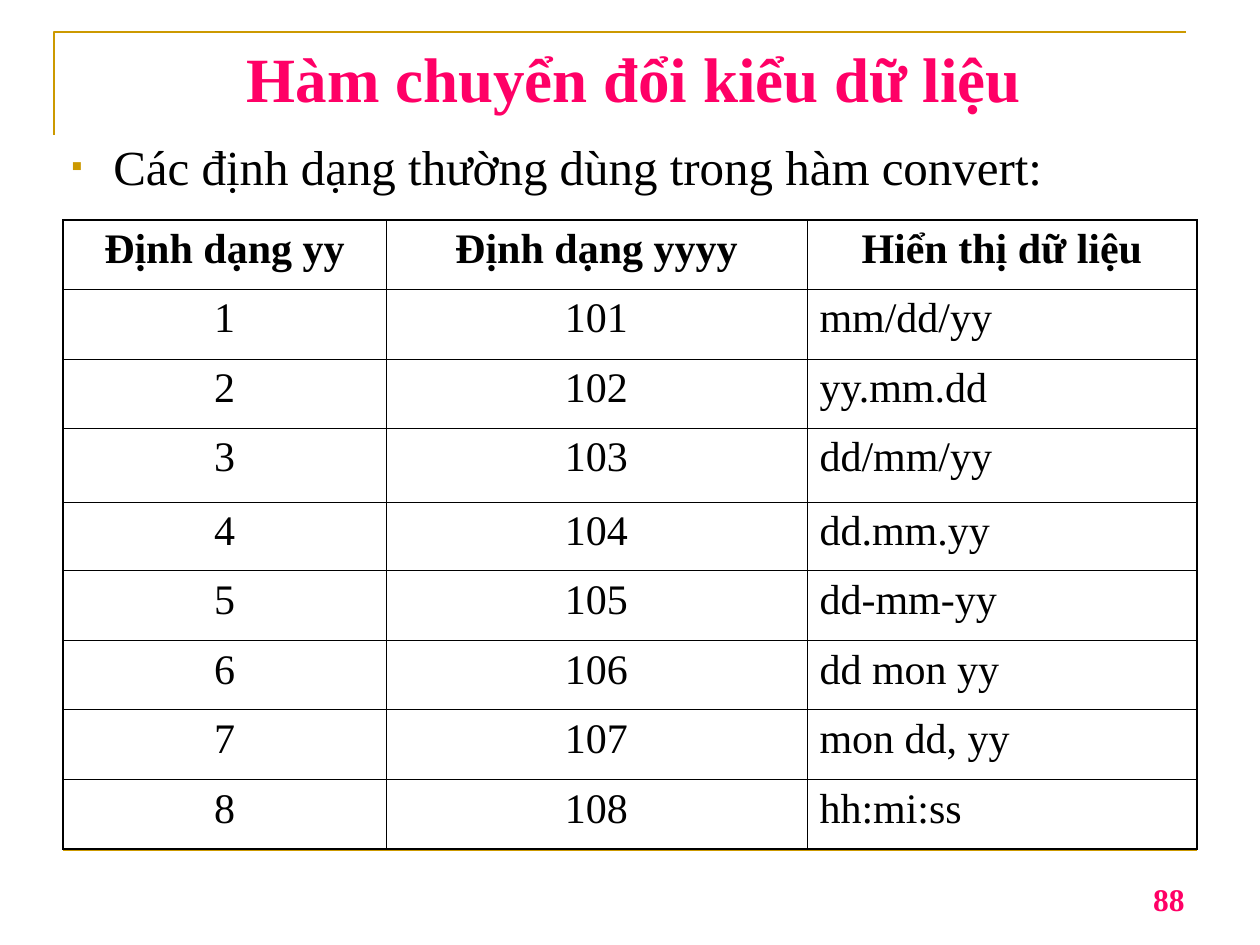
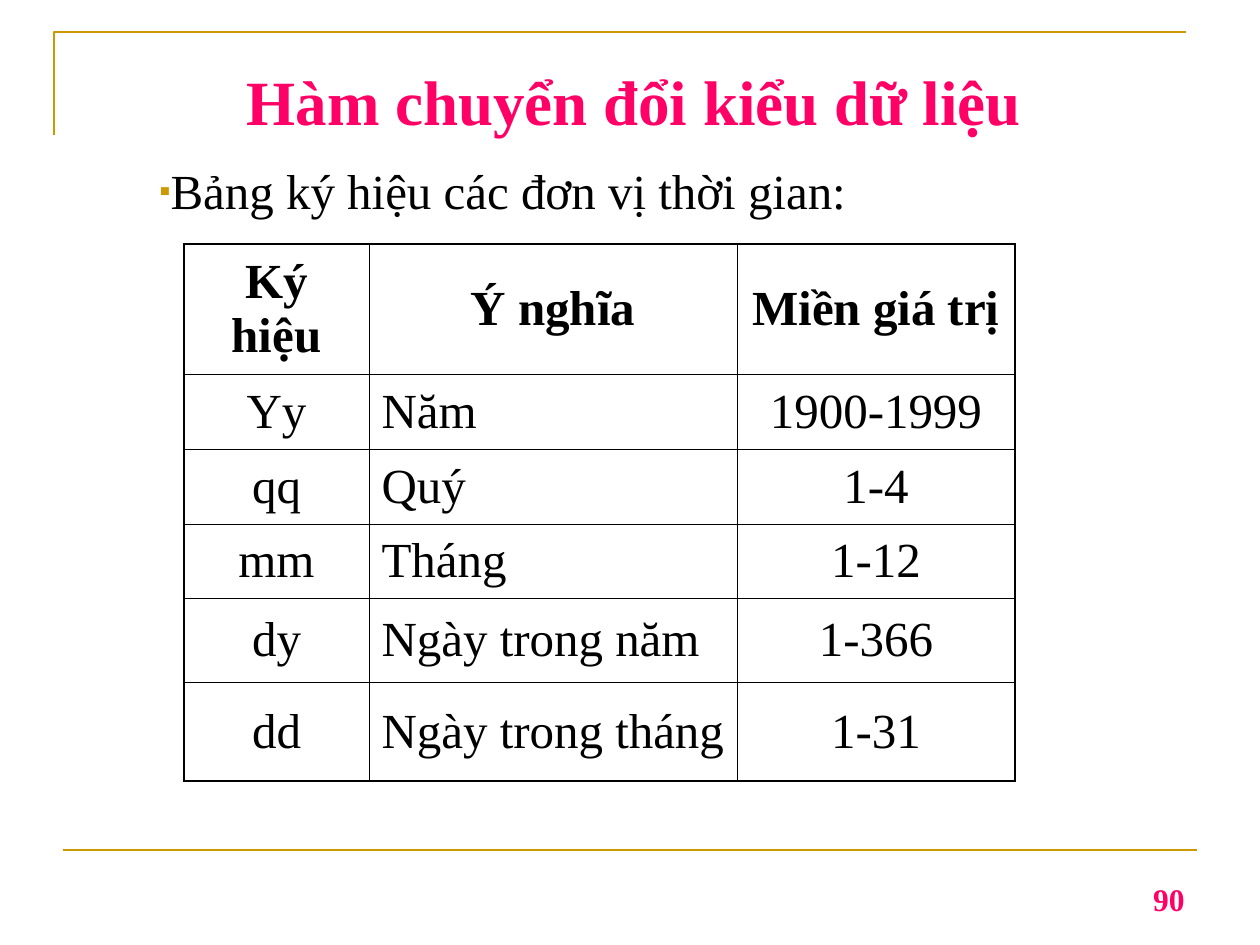
from dataclasses import dataclass
from typing import NamedTuple

import pptx
import pptx.dml.color
import pptx.enum.shapes
import pptx.enum.text
import pptx.oxml
import pptx.oxml.ns
import pptx.presentation
import pptx.slide
import pptx.table
import pptx.text.text
import pptx.util

PX_PER_INCH = 126
GOLD = pptx.dml.color.RGBColor(0xCC, 0x99, 0x00)
PINK = pptx.dml.color.RGBColor(0xFF, 0x00, 0x66)
BLACK = pptx.dml.color.RGBColor(0x00, 0x00, 0x00)
FONT = "Times New Roman"
HEADING = "Hàm chuyển đổi kiểu dữ liệu"
OUTER_WIDTH, INNER_WIDTH = 1.08, 0.45

ALIGN = pptx.enum.text.PP_ALIGN
ANCHOR = pptx.enum.text.MSO_ANCHOR


class Box(NamedTuple):
    left: int
    top: int
    width: int
    height: int


@dataclass(frozen=True)
class TextStyle:
    size: int
    color: pptx.dml.color.RGBColor = BLACK
    bold: bool = False
    align: ALIGN = ALIGN.LEFT


@dataclass(frozen=True)
class Grid:
    left: int
    top: int
    columns: tuple[int, ...]
    heights: tuple[int, ...]
    rows: tuple[tuple[str, ...], ...]
    size: int
    anchor: ANCHOR
    left_aligned_column: int


@dataclass(frozen=True)
class Lesson:
    number: int
    title_top: int
    intro: str
    intro_box: Box
    intro_margin: int
    intro_hang: int
    grid: Grid


HEADING_STYLE = TextStyle(36, PINK, True, ALIGN.CENTER)
INTRO_STYLE = TextStyle(28)
NUMBER_STYLE = TextStyle(18, PINK, True, ALIGN.RIGHT)

DATE_PATTERNS = (
    "mm/dd/yy", "yy.mm.dd", "dd/mm/yy", "dd.mm.yy",
    "dd-mm-yy", "dd mon yy", "mon dd, yy", "hh:mi:ss",
)

LESSONS = (
    Lesson(
        number=88,
        title_top=26,
        intro="Các định dạng thường dùng trong hàm convert:",
        intro_box=Box(59, 125, 1066, 72),
        intro_margin=42,
        intro_hang=42,
        grid=Grid(
            left=63,
            top=220,
            columns=(323, 421, 390),
            heights=(69, 70, 69, 74, 69, 70, 69, 70, 69),
            rows=(
                ("Định dạng yy", "Định dạng yyyy", "Hiển thị dữ liệu"),
                *((str(code), str(100 + code), pattern)
                  for code, pattern in enumerate(DATE_PATTERNS, start=1)),
            ),
            size=24,
            anchor=ANCHOR.TOP,
            left_aligned_column=2,
        ),
    ),
    Lesson(
        number=90,
        title_top=48,
        intro="Bảng ký hiệu các đơn vị thời gian:",
        intro_box=Box(63, 150, 1123, 719),
        intro_margin=94,
        intro_hang=10,
        grid=Grid(
            left=184,
            top=244,
            columns=(185, 368, 278),
            heights=(130, 75, 75, 74, 84, 99),
            rows=(
                ("Ký hiệu", "Ý nghĩa", "Miền giá trị"),
                ("Yy", "Năm", "1900-1999"),
                ("qq", "Quý", "1-4"),
                ("mm", "Tháng", "1-12"),
                ("dy", "Ngày trong năm", "1-366"),
                ("dd", "Ngày trong tháng", "1-31"),
            ),
            size=28,
            anchor=ANCHOR.MIDDLE,
            left_aligned_column=1,
        ),
    ),
)


def px(length: int) -> pptx.util.Emu:
    return pptx.util.Emu(round(length * 914400 / PX_PER_INCH))


def write(paragraph: pptx.text.text._Paragraph, text: str, style: TextStyle) -> None:
    paragraph.alignment = style.align
    run = paragraph.add_run()
    run.text = text
    run.font.name = FONT
    run.font.size = pptx.util.Pt(style.size)
    run.font.bold = style.bold
    run.font.color.rgb = style.color


def add_text(slide: pptx.slide.Slide, box: Box, text: str, style: TextStyle,
             inset_top: int = 6, anchor: ANCHOR = ANCHOR.TOP) -> pptx.text.text._Paragraph:
    frame = slide.shapes.add_textbox(*map(px, box)).text_frame
    frame.word_wrap = True
    frame.vertical_anchor = anchor
    frame.margin_top = px(inset_top)
    write(frame.paragraphs[0], text, style)
    return frame.paragraphs[0]


def add_bullet(paragraph: pptx.text.text._Paragraph, margin: int, hang: int) -> None:
    properties = paragraph._p.get_or_add_pPr()
    properties.set("marL", str(px(margin)))
    properties.set("indent", str(px(-hang)))
    namespace = pptx.oxml.ns.nsdecls("a")
    for element in (
        f'<a:buClr {namespace}><a:srgbClr val="{GOLD}"/></a:buClr>',
        f'<a:buSzPct {namespace} val="65000"/>',
        f'<a:buFont {namespace} typeface="{FONT}"/>',
        f'<a:buChar {namespace} char="▪"/>',
    ):
        properties.append(pptx.oxml.parse_xml(element))


def add_frame_lines(slide: pptx.slide.Slide) -> None:
    """Draw the corner bracket round the title and the rule above the footer."""
    builder = slide.shapes.build_freeform(px(54), px(135))
    builder.add_line_segments([(px(54), px(32)), (px(1186), px(32))], close=False)
    bracket = builder.convert_to_shape()
    bracket.shadow.inherit = False
    bracket.fill.background()
    rule = slide.shapes.add_connector(
        pptx.enum.shapes.MSO_CONNECTOR.STRAIGHT, px(63), px(850), px(1197), px(850))
    rule._element.spPr.append(
        pptx.oxml.parse_xml(f'<a:effectLst {pptx.oxml.ns.nsdecls("a")}/>'))
    for stroke in (bracket.line, rule.line):
        stroke.color.rgb = GOLD
        stroke.width = pptx.util.Pt(1.5)


def set_borders(cell: pptx.table._Cell, outer_sides: dict[str, bool]) -> None:
    """Give each side a heavy line if it lies on the table's edge, else a thin one."""
    properties = cell._tc.get_or_add_tcPr()
    for position, (side, is_outer) in enumerate(outer_sides.items()):
        width = pptx.util.Pt(OUTER_WIDTH if is_outer else INNER_WIDTH)
        properties.insert(position, pptx.oxml.parse_xml(
            f'<a:ln{side} {pptx.oxml.ns.nsdecls("a")} w="{width}"><a:solidFill>'
            f'<a:srgbClr val="{BLACK}"/></a:solidFill></a:ln{side}>'))


def add_grid(slide: pptx.slide.Slide, grid: Grid) -> None:
    last_row, last_column = len(grid.rows) - 1, len(grid.columns) - 1
    table = slide.shapes.add_table(
        len(grid.rows), len(grid.columns), px(grid.left), px(grid.top),
        px(sum(grid.columns)), px(sum(grid.heights))).table
    table.first_row = table.horz_banding = False
    for column, width in zip(table.columns, grid.columns):
        column.width = px(width)
    for row, height in zip(table.rows, grid.heights):
        row.height = px(height)
    for r, texts in enumerate(grid.rows):
        for c, text in enumerate(texts):
            cell = table.cell(r, c)
            cell.fill.background()
            cell.vertical_anchor = grid.anchor
            is_header = r == 0
            is_left = c == grid.left_aligned_column and not is_header
            align = ALIGN.LEFT if is_left else ALIGN.CENTER
            write(cell.text_frame.paragraphs[0], text,
                  TextStyle(grid.size, BLACK, is_header, align))
            set_borders(cell, {"L": c == 0, "R": c == last_column,
                               "T": is_header, "B": r == last_row})


def add_lesson(deck: pptx.presentation.Presentation, lesson: Lesson) -> None:
    slide = deck.slides.add_slide(deck.slide_layouts[6])
    add_frame_lines(slide)
    add_text(slide, Box(72, lesson.title_top, 1124, 107), HEADING, HEADING_STYLE, inset_top=14)
    intro = add_text(slide, lesson.intro_box, lesson.intro, INTRO_STYLE, inset_top=11)
    add_bullet(intro, lesson.intro_margin, lesson.intro_hang)
    add_grid(slide, lesson.grid)
    add_text(slide, Box(903, 861, 294, 63), str(lesson.number), NUMBER_STYLE,
             anchor=ANCHOR.BOTTOM)


def main() -> None:
    deck = pptx.Presentation()
    deck.slide_width, deck.slide_height = px(1260), px(945)
    for lesson in LESSONS:
        add_lesson(deck, lesson)
    deck.save("out.pptx")


if __name__ == "__main__":
    main()
